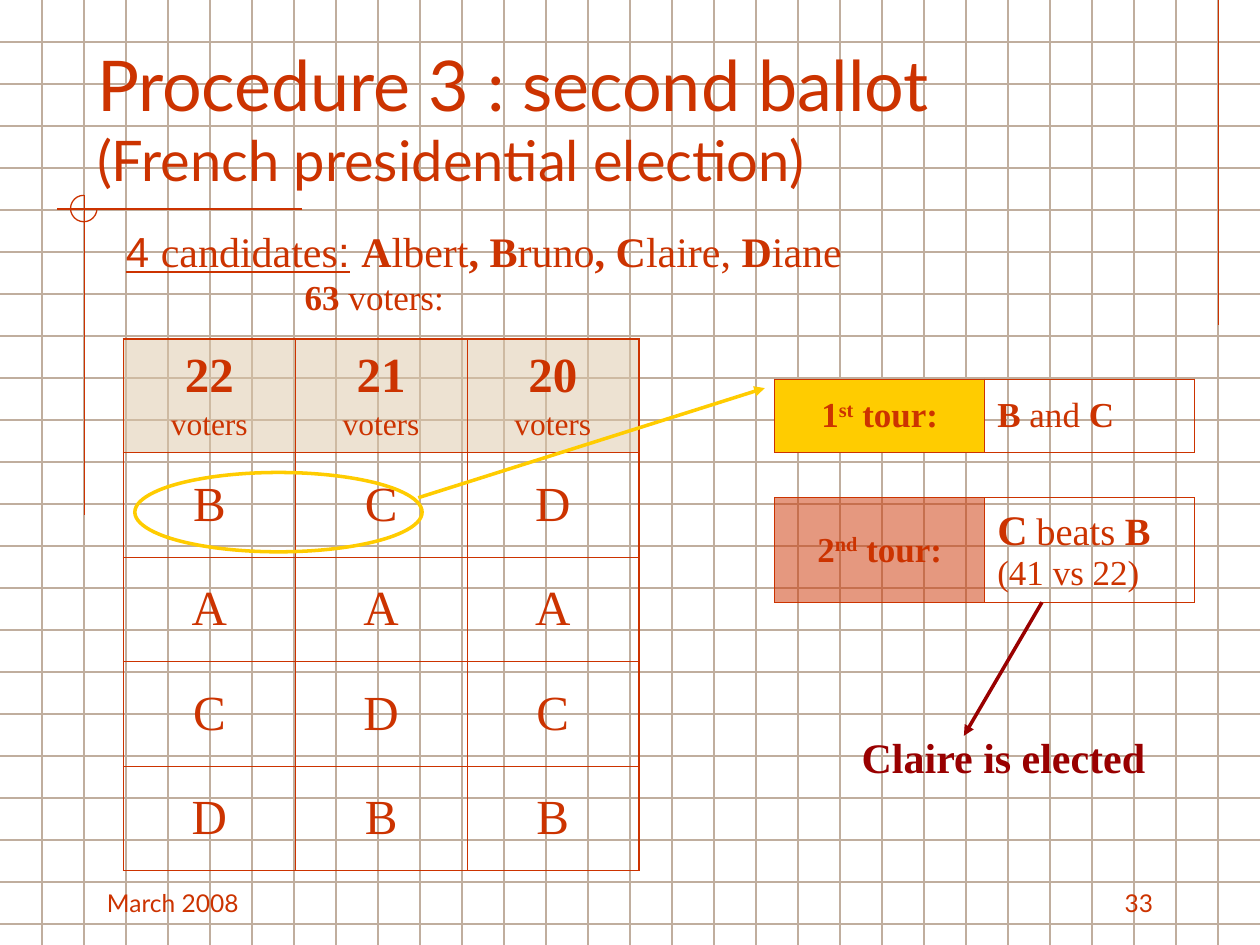
import copy
import lxml.etree
import pptx
import pptx.dml.color
import pptx.enum.shapes
import pptx.enum.text
import pptx.oxml.ns
import pptx.util

Inches = pptx.util.Inches
Pt = pptx.util.Pt
qn = pptx.oxml.ns.qn
ALIGN = pptx.enum.text.PP_ALIGN
ANCHOR = pptx.enum.text.MSO_ANCHOR
SHAPE = pptx.enum.shapes.MSO_SHAPE

RED, DARK, GOLD, TAN, SAND = "CC3300", "990000", "FFCC00", "C0AE9E", "DDC6A7"
SERIF, SANS = "Times New Roman", "Lato"
BOLD, PLAIN = {"bold": True}, {"bold": False}


def paint(target, color, alpha=None):
    """Set a solid colour on a fill, with opacity in percent."""
    target.solid()
    target.fore_color.rgb = pptx.dml.color.RGBColor.from_string(color)
    if alpha:
        node = target._xPr.find(qn("a:solidFill"))[0]
        lxml.etree.SubElement(node, qn("a:alpha"), val=str(alpha * 1000))


def style(run, size=20, font=SERIF, color=RED, bold=False, under=False, base=0):
    face = run.font
    face.size, face.name, face.bold = Pt(size), font, bold
    if under:
        face.underline = True
    if base:
        face._element.set("baseline", str(base * 1000))
    paint(face.fill, color)


def write(frame, *paras, align=ALIGN.LEFT, gap=0, **base):
    """Each paragraph is a list of (text, format) pairs; "\n" breaks a line."""
    for i, parts in enumerate(paras):
        para = frame.add_paragraph() if i else frame.paragraphs[0]
        para.alignment = align
        para.space_before = Pt(gap if i else 0)
        for text, extra in parts:
            if text == "\n":
                last = para.runs[-1].font._element
                para.add_line_break()
                para._p[-1].append(copy.deepcopy(last))
            else:
                run = para.add_run()
                run.text = text
                style(run, **{**base, **extra})


def label(slide, box, parts, anchor=ANCHOR.TOP, **form):
    frame = slide.shapes.add_textbox(*map(Inches, box)).text_frame
    frame.word_wrap = True
    frame.vertical_anchor = anchor
    write(frame, parts, **form)


def line(slide, start, end, color=RED, width=0.75, arrow=False):
    link = slide.shapes.add_connector(
        pptx.enum.shapes.MSO_CONNECTOR.STRAIGHT, *map(Inches, start + end))
    link.line.width = Pt(width)
    paint(link.line.fill, color)
    if arrow:
        lxml.etree.SubElement(link.line._ln, qn("a:tailEnd"), type="triangle")
    lxml.etree.SubElement(link._element.spPr, qn("a:effectLst"))


def curve(slide, kind, box, color, width):
    shape = slide.shapes.add_shape(kind, *map(Inches, box))
    shape.shadow.inherit = False
    shape.fill.background()
    shape.line.width = Pt(width)
    paint(shape.line.fill, color)
    return shape


def edge(cell, side, width):
    attrs = {"w": str(Pt(width))}
    node = lxml.etree.SubElement(cell._tc.get_or_add_tcPr(), qn("a:ln" + side), attrs)
    fill = lxml.etree.SubElement(node, qn("a:solidFill"))
    lxml.etree.SubElement(fill, qn("a:srgbClr"), val=RED)


def grid(slide, spot, width, rows, cols, outer, inner=0.45):
    """Add a ruled table without fills."""
    size = (width, sum(rows))
    table = slide.shapes.add_table(len(rows), cols, *map(Inches, spot + size)).table
    table.first_row = table.horz_banding = False
    for col in table.columns:
        col.width = Inches(width / cols)
    for r, high in enumerate(rows):
        table.rows[r].height = Inches(high)
        for c in range(cols):
            cell = table.cell(r, c)
            rims = {"L": c == 0, "R": c == cols - 1,
                    "T": r == 0, "B": r == len(rows) - 1}
            for side, rim in rims.items():
                edge(cell, side, outer if rim else inner)
            cell.fill.background()
            cell.vertical_anchor = ANCHOR.MIDDLE
    return table


def back(slide):
    # Graph paper, one line each third of an inch
    for n in range(1, 23):
        line(slide, (0, n / 3), (10, n / 3), TAN)
    for n in range(1, 30):
        line(slide, (n / 3, 0), (n / 3, 7.5), TAN)
    # Corner marks
    line(slide, (9.67, 0), (9.67, 2.58))
    line(slide, (2.4, 1.66), (0.45, 1.66))
    line(slide, (0.67, 1.55), (0.67, 4.09))
    ring = curve(slide, SHAPE.ARC, (0.56, 1.55, 0.21, 0.21), RED, 0.75)
    ring.adjustments[0], ring.adjustments[1] = 0, 162  # 0 to 270 degrees


def head(slide):
    title = slide.shapes.title
    title.left, title.top = Inches(0.67), Inches(0.33)
    title.width, title.height = Inches(8.5), Inches(1.25)
    frame = title.text_frame
    frame.auto_size = pptx.enum.text.MSO_AUTO_SIZE.NONE
    frame.vertical_anchor = ANCHOR.BOTTOM
    write(frame, [("Procedure 3 : second ballot", {}), ("\n", {}),
                  ("(French presidential election)", {"size": 32})],
          size=40, font=SANS)
    slide.shapes._spTree.append(title._element)  # in front of the graph paper


def votes(slide):
    table = grid(slide, (0.98, 2.69), 4.09, [0.9] + [0.83] * 4, 3, 1.08)
    ranks = ["BCD", "AAA", "CDC", "DBB"]
    for c, count in enumerate(["22", "21", "20"]):
        top = table.cell(0, c)
        paint(top.fill, SAND, 50)
        write(top.text_frame, [(count, {"size": 28, "bold": True})],
              [("voters", {"size": 18})], align=ALIGN.CENTER, gap=2.2)
        for r, rank in enumerate(ranks, 1):
            write(table.cell(r, c).text_frame, [(rank[c], {})],
                  align=ALIGN.CENTER, size=28)


def tour(slide, top, high, order, fill, alpha, result):
    table = grid(slide, (6.15, top), 3.33, [high], 2, 0.75)
    name, text = table.cell(0, 0), table.cell(0, 1)
    paint(name.fill, fill, alpha)
    num, end = order
    write(name.text_frame, [(num, {}), (end, {"base": 30}), (" tour:", {})],
          align=ALIGN.CENTER, bold=True)
    write(text.text_frame, result)


def main():
    deck = pptx.Presentation()
    deck.slide_width, deck.slide_height = Inches(10), Inches(7.5)
    slide = deck.slides.add_slide(deck.slide_layouts[5])
    back(slide)
    head(slide)

    # Footer
    label(slide, (0.75, 6.83, 2.08, 0.5), [("March 2008", {})],
          ANCHOR.BOTTOM, size=14, font=SANS)
    label(slide, (7.17, 6.83, 2.08, 0.5), [("33", {})],
          ANCHOR.BOTTOM, size=14, font=SANS, align=ALIGN.RIGHT)

    # Candidates and voters
    label(slide, (0.9, 1.74, 5.89, 0.5), [
        ("4 ", {"font": "Arial", "under": True}), ("candidates", {"under": True}),
        (":", {"font": "Arial", "under": True}), (" ", {"font": "Arial", "bold": True}),
        ("A", BOLD), ("lbert", PLAIN), (", B", BOLD), ("runo", PLAIN),
        (", C", BOLD), ("laire, ", PLAIN), ("D", BOLD), ("iane", PLAIN)], size=24)
    label(slide, (2.32, 2.14, 1.5, 0.44), [("63", BOLD), (" voters:", PLAIN)])
    votes(slide)

    # The two rounds
    tour(slide, 3.01, 0.58, ("1", "st"), GOLD, None,
         [("B", BOLD), (" and ", PLAIN), ("C", BOLD)])
    tour(slide, 3.95, 0.83, ("2", "nd"), RED, 50,
         [("C", {"size": 24, "bold": True}), (" ", BOLD), ("beats ", {"size": 22}),
          ("B", {"size": 22, "bold": True}), (" (41 vs 22)", PLAIN)])

    # Marks and outcome
    curve(slide, SHAPE.OVAL, (1.07, 3.75, 2.28, 0.63), GOLD, 2)
    line(slide, (3.32, 3.95), (6.07, 3.08), GOLD, 2, arrow=True)
    line(slide, (8.27, 4.78), (7.65, 5.84), DARK, 2, arrow=True)
    label(slide, (6.74, 5.76, 2.59, 0.5), [("Claire is elected", BOLD)],
          size=24, color=DARK)
    deck.save("out.pptx")


if __name__ == "__main__":
    main()
